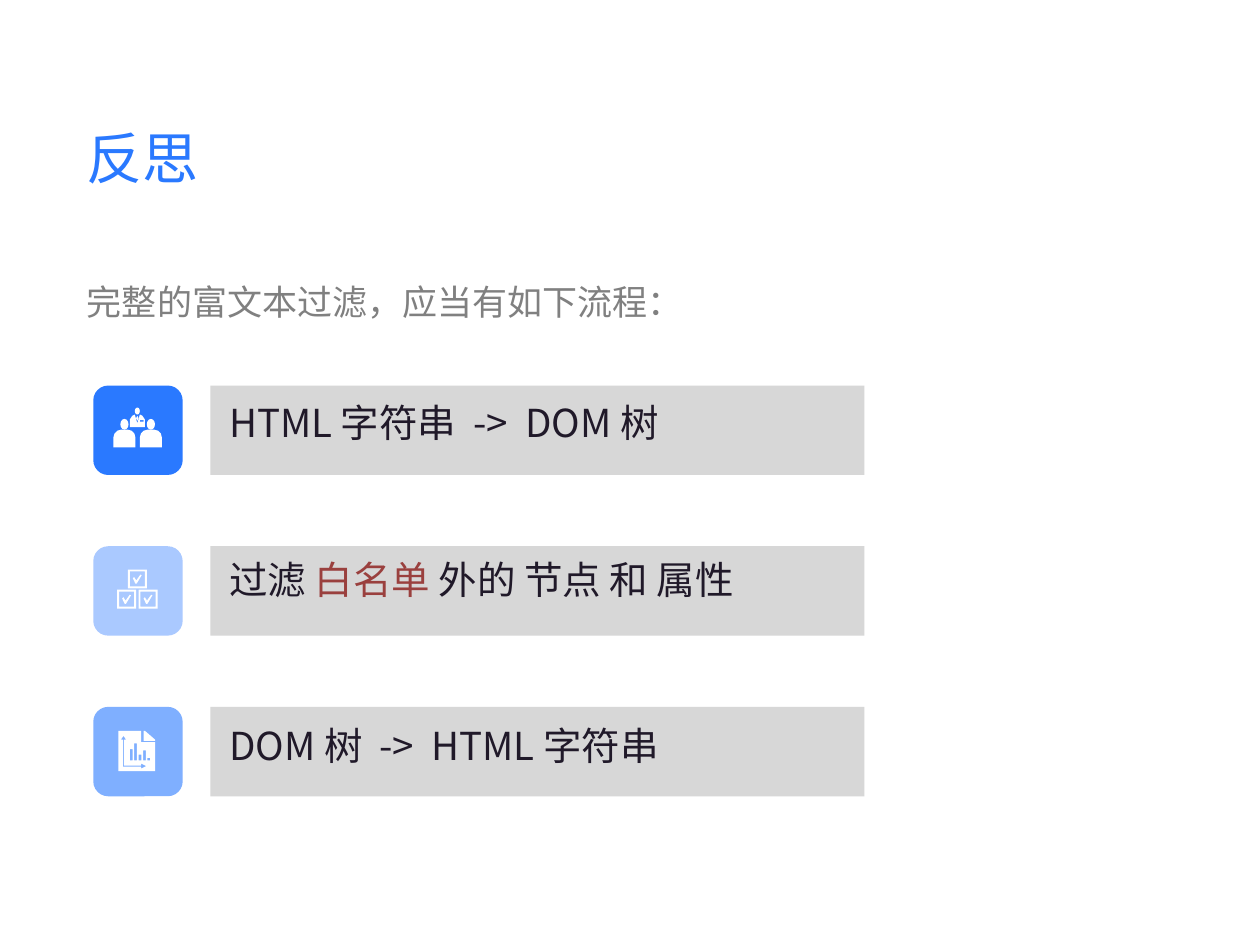
from dataclasses import dataclass
from typing import Callable, NamedTuple

from lxml.etree import SubElement
from pptx import Presentation
from pptx.dml.color import RGBColor
from pptx.enum.shapes import MSO_SHAPE
from pptx.enum.text import MSO_AUTO_SIZE
from pptx.oxml.ns import qn
from pptx.util import Inches, Pt

# The slide is a grid of 100 columns by 75 rows
COLUMNS, ROWS = 100, 75
CELL = Inches(10) // COLUMNS
FONT = "Noto Sans CJK SC"
BLUE, WHITE, BAND_GRAY = "2A79FF", "FFFFFF", "D7D7D7"
TEXT_GRAY, DARK, RED = "808080", "201929", "9A403E"

# Step layout
TILE_COLUMN, BAND_COLUMN, TEXT_COLUMN = 7.4, 16.7, 18.2
FIRST_ROW, STEP_ROWS = 30.6, 12.75
TILE_SIZE, BAND_WIDTH = 7.1, 51.9

Contour = list[tuple[float, float]]


class Box(NamedTuple):
    column: float
    row: float
    width: float
    height: float


class Phrase(NamedTuple):
    text: str
    color: str = DARK


@dataclass
class Step:
    tile_color: str
    phrases: list[Phrase]
    text_offset: float
    draw_icon: Callable


def cells(count: float) -> int:
    return round(count * CELL)


def set_fill(shape, color: str) -> None:
    shape.shadow.inherit = False
    shape.fill.solid()
    shape.fill.fore_color.rgb = RGBColor.from_string(color)
    shape.line.fill.background()


def add_preset(shapes, kind: MSO_SHAPE, box: Box, color: str, rounding: float | None = None) -> None:
    shape = shapes.add_shape(kind, *map(cells, box))
    if rounding is not None:
        shape.adjustments[0] = rounding
    set_fill(shape, color)


def add_text(shapes, box: Box, phrases: list[Phrase], size: float, spacing: float = 1.0) -> None:
    text_frame = shapes.add_textbox(*map(cells, box)).text_frame
    text_frame.word_wrap = True
    text_frame.auto_size = MSO_AUTO_SIZE.SHAPE_TO_FIT_TEXT
    text_frame.margin_left = text_frame.margin_right = 0
    text_frame.margin_top = text_frame.margin_bottom = 0
    paragraph = text_frame.paragraphs[0]
    paragraph.line_spacing = spacing
    for phrase in phrases:
        run = paragraph.add_run()
        run.text = phrase.text
        run.font.size = Pt(size)
        run.font.name = FONT
        run.font.color.rgb = RGBColor.from_string(phrase.color)
        # East Asian text takes its own typeface entry
        SubElement(run._r.get_or_add_rPr(), qn("a:ea")).set("typeface", FONT)


def rectangle(column: float, row: float, width: float, height: float) -> Contour:
    right, bottom = column + width, row + height
    return [(column, row), (right, row), (right, bottom), (column, bottom)]


def add_outline(shapes, column: float, row: float, contours: list[Contour]) -> None:
    """Draw white contours placed from (column, row); inner contours are holes."""
    placed = [[(cells(column + x), cells(row + y)) for x, y in contour] for contour in contours]
    builder = shapes.build_freeform(*placed[0][0])
    for index, contour in enumerate(placed):
        if index:
            builder.move_to(*contour[0])
        builder.add_line_segments(contour[1:], close=True)
    set_fill(builder.convert_to_shape(), WHITE)


def draw_people(shapes, column: float, row: float) -> None:
    # Two people in front
    for left in (1.6, 3.7):
        body = Box(column + left, row + 3.5, 1.75, 1.4)
        head = Box(column + left + 0.55, row + 2.65, 0.65, 0.85)
        add_preset(shapes, MSO_SHAPE.ROUND_2_SAME_RECTANGLE, body, WHITE, 0.45)
        add_preset(shapes, MSO_SHAPE.OVAL, head, WHITE)
    # Leader behind, with collar, tie and pocket
    jacket = [(2.9, 3.3), (2.9, 2.7), (3.1, 2.4), (3.3, 2.3), (3.5, 3.0),
              (3.7, 2.3), (3.9, 2.4), (4.1, 2.7), (4.1, 3.3)]
    add_outline(shapes, column, row, [jacket, rectangle(3.7, 2.75, 0.3, 0.12)])
    add_preset(shapes, MSO_SHAPE.OVAL, Box(column + 3.3, row + 1.75, 0.4, 0.55), WHITE)
    add_preset(shapes, MSO_SHAPE.DIAMOND, Box(column + 3.4, row + 2.4, 0.2, 0.4), WHITE)


def draw_checkboxes(shapes, column: float, row: float) -> None:
    check = [(0.4, 0.7), (0.5, 0.6), (0.67, 0.87), (1.0, 0.4), (1.1, 0.45), (0.7, 1.12), (0.6, 1.12)]
    frame = [rectangle(0, 0, 1.5, 1.5), rectangle(0.15, 0.15, 1.2, 1.2)]
    for left, top in ((3.6, 3.45), (2.75, 1.85), (1.9, 3.45)):
        add_outline(shapes, column + left, row + top, frame)
        add_outline(shapes, column + left, row + top, [check])


def draw_report(shapes, column: float, row: float) -> None:
    fold = [(4.0, 1.9), (4.1, 1.9), (4.9, 2.6), (4.9, 2.7), (4.0, 2.7)]
    page = [(2.0, 1.9), (3.8, 1.9), (3.8, 2.8), (4.9, 2.8), (4.9, 5.1), (2.0, 5.1)]
    axes = [(2.4, 2.3), (2.2, 2.6), (2.36, 2.6), (2.36, 4.74), (3.8, 4.74), (3.8, 4.9),
            (4.2, 4.7), (3.8, 4.5), (3.8, 4.66), (2.44, 4.66), (2.44, 2.6), (2.6, 2.6)]
    bars = ((2.9, 0.9), (3.25, 1.35), (3.6, 0.45), (3.95, 0.8), (4.3, 0.2))
    holes = [rectangle(left, 4.25 - height, 0.22, height) for left, height in bars]
    add_outline(shapes, column, row, [fold])
    add_outline(shapes, column, row, [page, axes, *holes])


STEPS = [
    Step(BLUE, [Phrase("HTML 字符串  ->  DOM 树")], 1.1, draw_people),
    Step("AAC9FF", [Phrase("过滤 "), Phrase("白名单 ", RED), Phrase("外的 节点 和 属性")],
         0.75, draw_checkboxes),
    Step("7FAFFF", [Phrase("DOM 树  ->  HTML 字符串")], 1.2, draw_report),
]


def draw_step(shapes, index: int, step: Step) -> None:
    row = FIRST_ROW + index * STEP_ROWS
    add_preset(shapes, MSO_SHAPE.ROUNDED_RECTANGLE,
               Box(TILE_COLUMN, row, TILE_SIZE, TILE_SIZE), step.tile_color, 0.167)
    add_preset(shapes, MSO_SHAPE.ROUNDED_RECTANGLE,
               Box(BAND_COLUMN, row, BAND_WIDTH, TILE_SIZE), BAND_GRAY, 0)
    step.draw_icon(shapes.add_group_shape().shapes, TILE_COLUMN, row)
    add_text(shapes, Box(TEXT_COLUMN, row + step.text_offset, 48, 5), step.phrases, 22)


def main() -> None:
    presentation = Presentation()
    presentation.slide_width = COLUMNS * CELL
    presentation.slide_height = ROWS * CELL
    slide = presentation.slides.add_slide(presentation.slide_layouts[6])
    shapes = slide.shapes

    # Title and introduction
    add_text(shapes, Box(6.9, 9.8, 39.2, 6.8), [Phrase("反思", BLUE)], 32)
    add_text(shapes, Box(6.9, 20.6, 86.2, 4.6),
             [Phrase("完整的富文本过滤，应当有如下流程：", TEXT_GRAY)], 20, 1.5)

    # Filtering steps
    for index, step in enumerate(STEPS):
        draw_step(shapes, index, step)
    presentation.save("out.pptx")


if __name__ == "__main__":
    main()
